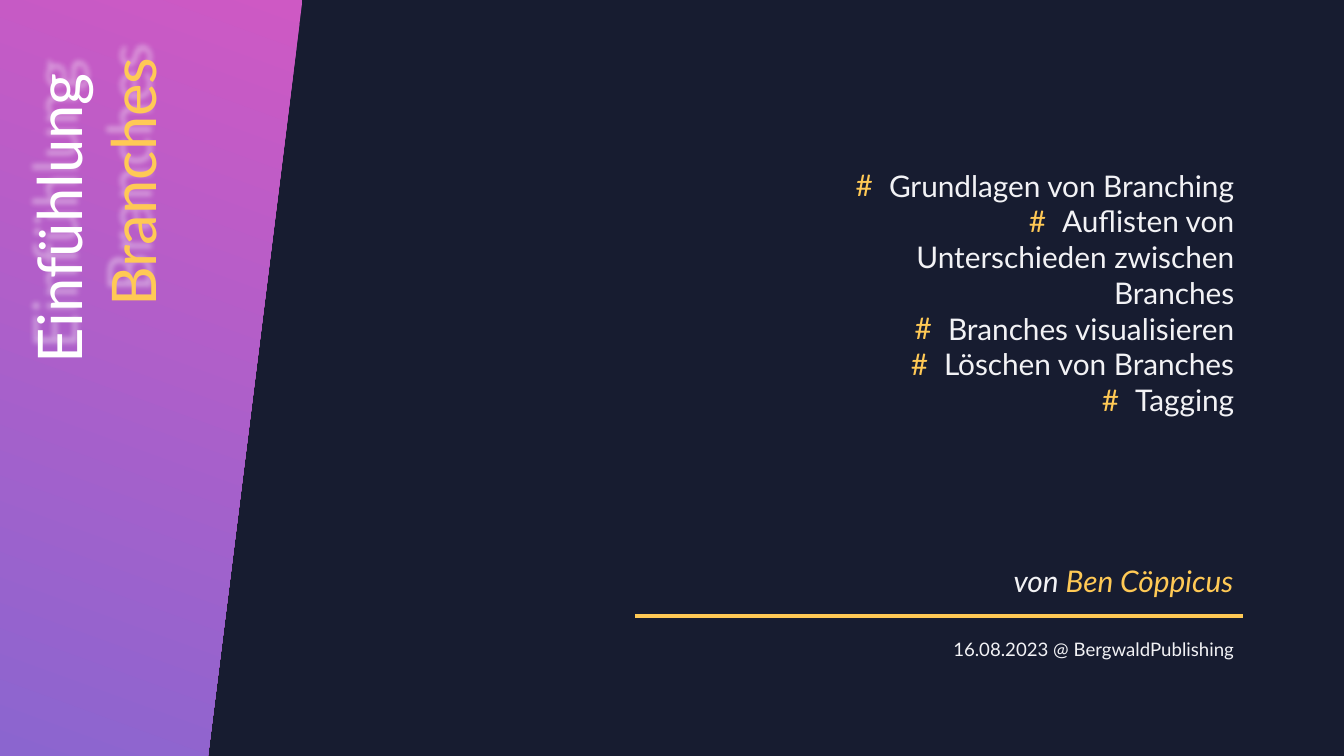
from dataclasses import dataclass

from lxml import etree
from pptx import Presentation
from pptx.dml.color import RGBColor
from pptx.enum.shapes import MSO_CONNECTOR
from pptx.enum.text import MSO_AUTO_SIZE, PP_ALIGN
from pptx.oxml.ns import qn
from pptx.slide import Slide
from pptx.util import Inches, Pt

STRAIGHT = MSO_CONNECTOR.STRAIGHT
GROW = MSO_AUTO_SIZE.SHAPE_TO_FIT_TEXT
RIGHT = PP_ALIGN.RIGHT

NIGHT = RGBColor(0x17, 0x1C, 0x30)
PINK = RGBColor(0xCE, 0x59, 0xC4)
PURPLE = RGBColor(0x87, 0x66, 0xD0)
YELLOW = RGBColor(0xFF, 0xC9, 0x55)
WHITE = RGBColor(0xFF, 0xFF, 0xFF)
PALE = RGBColor(0xF2, 0xF2, 0xF5)

FONT = "Lato"
HANG = Inches(0.33)


@dataclass(frozen=True)
class Run:
    text: str
    color: RGBColor = PALE


@dataclass(frozen=True)
class TextBlock:
    left: float
    top: float
    width: float
    height: float
    size: float
    paragraphs: list[list[Run]]
    rotation: float = 0
    italic: bool = False
    bulleted: bool = False
    glow: bool = False


TITLE = TextBlock(
    -2.33, 2.96, 6.56, 1.58, 44,
    [[Run("Einfühlung ", WHITE)], [Run("Branches", YELLOW)]],
    rotation=270, glow=True,
)
TOPICS = TextBlock(
    8.17, 1.61, 4.17, 2.25, 21.3,
    [[Run(topic)] for topic in (
        "Grundlagen von Branching",
        "Auflisten von Unterschieden zwischen Branches",
        "Branches visualisieren",
        "Löschen von Branches",
        "Tagging",
    )],
    bulleted=True,
)
AUTHOR = TextBlock(
    7.89, 5.53, 4.44, 0.46, 21.3,
    [[Run("von "), Run("Ben Cöppicus", YELLOW)]], italic=True,
)
IMPRINT = TextBlock(
    7.28, 6.28, 5.06, 0.33, 13.3,
    [[Run("16.08.2023 @ BergwaldPublishing")]],
)


def add_hash_bullet(paragraph) -> None:
    props = paragraph._p.get_or_add_pPr()
    props.set("marL", str(HANG))
    props.set("indent", str(-HANG))
    color = etree.SubElement(props, qn("a:buClr"))
    etree.SubElement(color, qn("a:srgbClr"), val=str(YELLOW))
    etree.SubElement(props, qn("a:buFont"), typeface=FONT)
    etree.SubElement(props, qn("a:buChar"), char="#")


def add_glow(box) -> None:
    """Soft white shadow, thrown up and to the left."""
    effects = etree.SubElement(box._element.spPr, qn("a:effectLst"))
    shadow = etree.SubElement(
        effects, qn("a:outerShdw"), blurRad=str(Pt(4)), dist=str(Inches(0.15)),
        dir=str(250 * 60000), algn="ctr", rotWithShape="0",
    )
    color = etree.SubElement(shadow, qn("a:srgbClr"), val=str(WHITE))
    etree.SubElement(color, qn("a:alpha"), val="40000")


def add_text(slide: Slide, block: TextBlock) -> None:
    box = slide.shapes.add_textbox(
        Inches(block.left), Inches(block.top),
        Inches(block.width), Inches(block.height),
    )
    box.rotation = block.rotation
    frame = box.text_frame
    frame.word_wrap = True
    frame.auto_size = GROW
    for index, runs in enumerate(block.paragraphs):
        paragraph = frame.add_paragraph() if index else frame.paragraphs[0]
        paragraph.alignment = RIGHT
        if block.bulleted:
            add_hash_bullet(paragraph)
        for part in runs:
            run = paragraph.add_run()
            run.text = part.text
            run.font.name = FONT
            run.font.size = Pt(block.size)
            run.font.italic = block.italic
            run.font.color.rgb = part.color
    if block.glow:
        add_glow(box)


def add_side_panel(slide: Slide) -> None:
    outline = slide.shapes.build_freeform(0, 0, scale=Inches(1))
    outline.add_line_segments([(3.17, 0), (1.5, 7.5), (0, 7.5)], close=True)
    panel = outline.convert_to_shape()
    panel.shadow.inherit = False
    panel.line.fill.background()
    panel.fill.gradient()
    panel.fill.gradient_angle = 250
    for stop, color, position in zip(panel.fill.gradient_stops, (PINK, PURPLE), (0, 1)):
        stop.color.rgb = color
        stop.position = position


def add_divider(slide: Slide) -> None:
    divider = slide.shapes.add_connector(
        STRAIGHT, Inches(6.3), Inches(6.11), Inches(12.33), Inches(6.11)
    )
    divider.line.color.rgb = YELLOW
    divider.line.width = Pt(3)
    etree.SubElement(divider._element.spPr, qn("a:effectLst"))


def main() -> None:
    presentation = Presentation()
    presentation.slide_width = Inches(13.33)
    presentation.slide_height = Inches(7.5)
    slide = presentation.slides.add_slide(presentation.slide_layouts[6])

    # Background and side panel
    slide.background.fill.solid()
    slide.background.fill.fore_color.rgb = NIGHT
    add_side_panel(slide)

    # Title, topics and credits
    add_text(slide, TITLE)
    add_text(slide, TOPICS)
    add_divider(slide)
    add_text(slide, AUTHOR)
    add_text(slide, IMPRINT)

    presentation.save("out.pptx")


if __name__ == "__main__":
    main()
